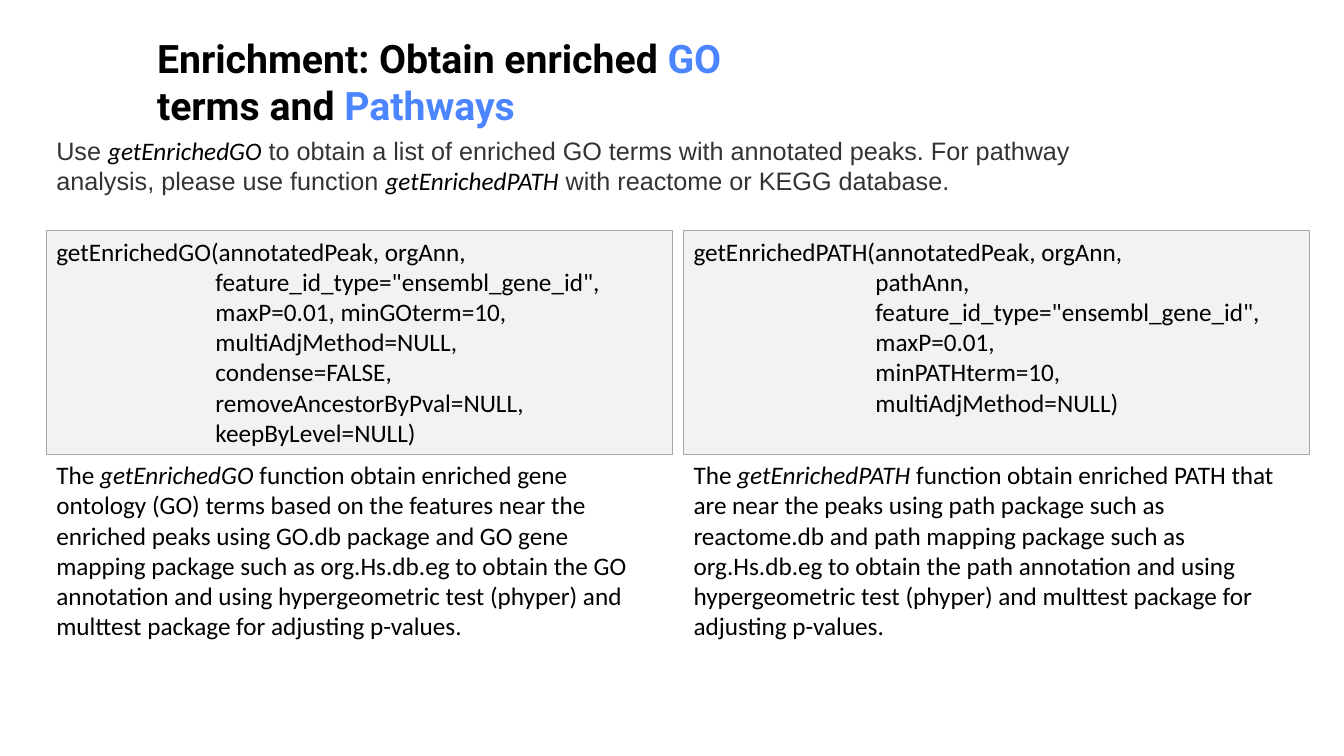
from pptx import Presentation
from pptx.dml.color import RGBColor
from pptx.enum import shapes, text
from pptx.util import Inches, Pt

LEFT, COLUMN_STEP, COLUMN_WIDTH = 0.46, 6.32, 6.21
CODE_TOP, CODE_HEIGHT, NOTE_HEIGHT = 2.29, 2.22, 1.92
BLACK, GREY, BLUE = "000000", "333333", "4B85FF"

deck = Presentation()
deck.slide_width, deck.slide_height = Inches(13.33), Inches(7.5)
page = deck.slides.add_slide(deck.slide_layouts[6])


def color(value):
    return RGBColor.from_string(value)


def write(paragraphs, left, top, width, height, font="Calibri", size=18,
          ink=BLACK, bold=False, fill=None, line=None):
    """Add a box; each paragraph is a list of (words, format changes) pairs."""
    area = [Inches(length) for length in (left, top, width, height)]
    if fill:
        box = page.shapes.add_shape(shapes.MSO_SHAPE.RECTANGLE, *area)
        box.shadow.inherit = False
        box.fill.solid()
        box.fill.fore_color.rgb = color(fill)
        box.line.color.rgb = color(line)
        box.line.width = Pt(0.75)
    else:
        box = page.shapes.add_textbox(*area)
    frame = box.text_frame
    frame.word_wrap = True
    frame.vertical_anchor = text.MSO_ANCHOR.TOP
    for number, pieces in enumerate(paragraphs):
        para = frame.add_paragraph() if number else frame.paragraphs[0]
        para.alignment = text.PP_ALIGN.LEFT
        for words, changes in pieces:
            span = para.add_run()
            span.text = words
            span.font.name = changes.get("font", font)
            span.font.size = Pt(size)
            span.font.bold = bold
            span.font.italic = changes.get("italic", False)
            span.font.color.rgb = color(changes.get("ink", ink))


blue = {"ink": BLUE}
function_name = {"font": "Calibri", "ink": BLACK, "italic": True}

write([[("Enrichment: Obtain enriched ", {}), ("GO", blue),
        (" terms and ", {}), ("Pathways", blue)]],
      1.46, 0.29, 6.66, 1.04, font="Roboto", size=28, bold=True)

write([[("Use ", {}), ("getEnrichedGO", function_name),
        (" to obtain a list of enriched GO terms with annotated peaks. "
         "For pathway analysis, please use function ", {}),
        ("getEnrichedPATH", function_name),
        (" with reactome or KEGG database.", {})]],
      LEFT, 1.29, 10.41, 0.71, font="Arial", ink=GREY)

functions = [
    ("getEnrichedGO", 28,
     ['feature_id_type="ensembl_gene_id",', "maxP=0.01, minGOterm=10,",
      "multiAdjMethod=NULL,", "condense=FALSE,",
      "removeAncestorByPval=NULL,", "keepByLevel=NULL)"],
     "function obtain enriched gene ontology (GO) terms based on the features "
     "near the enriched peaks using GO.db package and GO gene mapping package "
     "such as org.Hs.db.eg to obtain the GO annotation and using "
     "hypergeometric test (phyper) and multtest package for adjusting "
     "p-values."),
    ("getEnrichedPATH", 32,
     ["pathAnn,", 'feature_id_type="ensembl_gene_id",', "maxP=0.01,",
      "minPATHterm=10,", "multiAdjMethod=NULL)"],
     "function obtain enriched PATH that are near the peaks using path package "
     "such as reactome.db and path mapping package such as org.Hs.db.eg to "
     "obtain the path annotation and using hypergeometric test (phyper) and "
     "multtest package for adjusting p-values."),
]

for column, (name, indent, arguments, description) in enumerate(functions):
    left = LEFT + column * COLUMN_STEP
    code = [f"{name}(annotatedPeak, orgAnn,"]
    code += [" " * indent + argument for argument in arguments]
    write([[(row, {})] for row in code],
          left, CODE_TOP, COLUMN_WIDTH, CODE_HEIGHT, fill="F2F2F2", line="A6A6A6")
    write([[("The ", {}), (f"{name} ", function_name), (description, {})]],
          left, CODE_TOP + CODE_HEIGHT, COLUMN_WIDTH, NOTE_HEIGHT)

deck.save("out.pptx")
